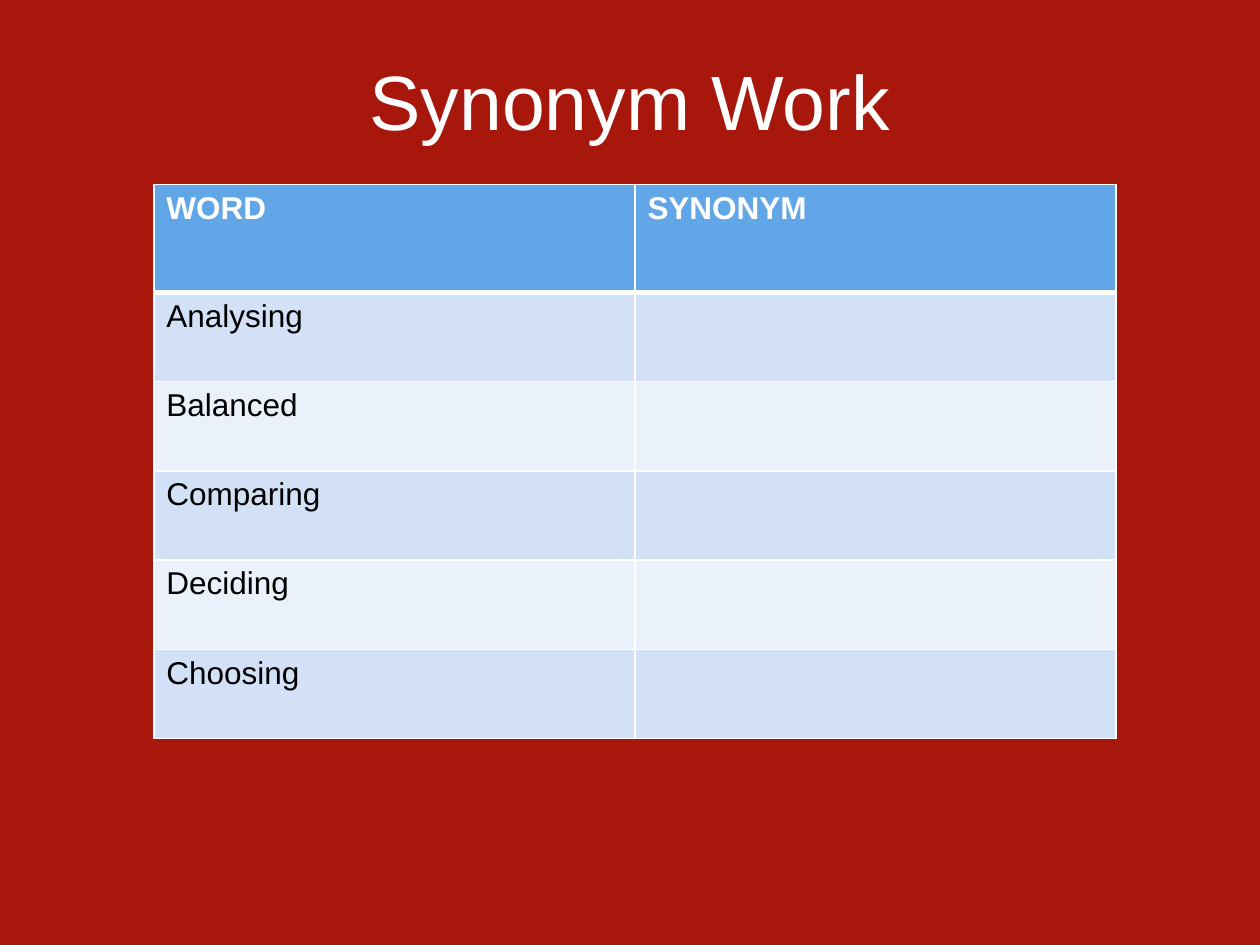
from dataclasses import dataclass

from lxml.etree import SubElement
from pptx import Presentation
from pptx.dml.color import RGBColor
from pptx.enum.text import MSO_ANCHOR as Anchor, PP_ALIGN as Align
from pptx.oxml.ns import qn
from pptx.util import Cm, Pt

RED = RGBColor(0xA7, 0x17, 0x0B)
WHITE = RGBColor(0xFF, 0xFF, 0xFF)
BLACK = RGBColor(0x00, 0x00, 0x00)
HEADER_BLUE = RGBColor(0x61, 0xA7, 0xE7)
BANDS = (RGBColor(0xD2, 0xE1, 0xF6), RGBColor(0xEA, 0xF1, 0xFA))

COLUMN_WIDTH = 9.7
HEADER_HEIGHT = 2.17
WORD_HEIGHT = 1.8


@dataclass(frozen=True)
class Row:
    entries: tuple[str, str]
    height: float
    fill: RGBColor
    ink: RGBColor = BLACK
    bold: bool = False
    top_border: float = 1
    bottom_border: float = 1


def write(frame, text: str, *, size: float, color: RGBColor,
          bold: bool = False, align: Align = Align.LEFT) -> None:
    paragraph = frame.paragraphs[0]
    paragraph.alignment = align
    run = paragraph.add_run()
    run.text = text
    run.font.name = "Arial"
    run.font.size = Pt(size)
    run.font.bold = bold
    run.font.color.rgb = color


def add_borders(cell, row: Row) -> None:
    properties = cell._tc.get_or_add_tcPr()
    widths = {"L": 1, "R": 1, "T": row.top_border, "B": row.bottom_border}
    for side, width in widths.items():
        line = SubElement(properties, qn(f"a:ln{side}"), w=str(Pt(width)))
        fill = SubElement(line, qn("a:solidFill"))
        SubElement(fill, qn("a:srgbClr"), val=str(WHITE))


def draw_row(table, index: int, row: Row) -> None:
    table.rows[index].height = Cm(row.height)
    for cell, entry in zip(table.rows[index].cells, row.entries):
        add_borders(cell, row)
        cell.fill.solid()
        cell.fill.fore_color.rgb = row.fill
        if entry:
            write(cell.text_frame, entry, size=18, color=row.ink, bold=row.bold)


def draw_title(slide, text: str) -> None:
    title = slide.shapes.title
    title.left, title.top = Cm(1.27), Cm(0.81)
    title.width, title.height = Cm(22.86), Cm(3.53)
    title.text_frame.vertical_anchor = Anchor.TOP
    title.text_frame.margin_top = Cm(0.26)
    write(title.text_frame, text, size=44, color=WHITE, align=Align.CENTER)


def draw_table(slide, rows: list[Row]) -> None:
    height = sum(row.height for row in rows)
    table = slide.shapes.add_table(
        len(rows), 2, Cm(3.1), Cm(3.72), Cm(2 * COLUMN_WIDTH), Cm(height)
    ).table
    for column in table.columns:
        column.width = Cm(COLUMN_WIDTH)
    for index, row in enumerate(rows):
        draw_row(table, index, row)


def main() -> None:
    presentation = Presentation()
    presentation.slide_width, presentation.slide_height = Cm(25.4), Cm(19.05)
    slide = presentation.slides.add_slide(presentation.slide_layouts[5])
    slide.background.fill.solid()
    slide.background.fill.fore_color.rgb = RED

    words = ("Analysing", "Balanced", "Comparing", "Deciding", "Choosing")
    header = Row(("WORD", "SYNONYM"), HEADER_HEIGHT, HEADER_BLUE, WHITE,
                 bold=True, bottom_border=3)
    word_rows = [
        Row((word, ""), WORD_HEIGHT, BANDS[index % 2],
            top_border=1 if index else 3)
        for index, word in enumerate(words)
    ]
    draw_title(slide, "Synonym Work")
    draw_table(slide, [header, *word_rows])
    presentation.save("out.pptx")


if __name__ == "__main__":
    main()
